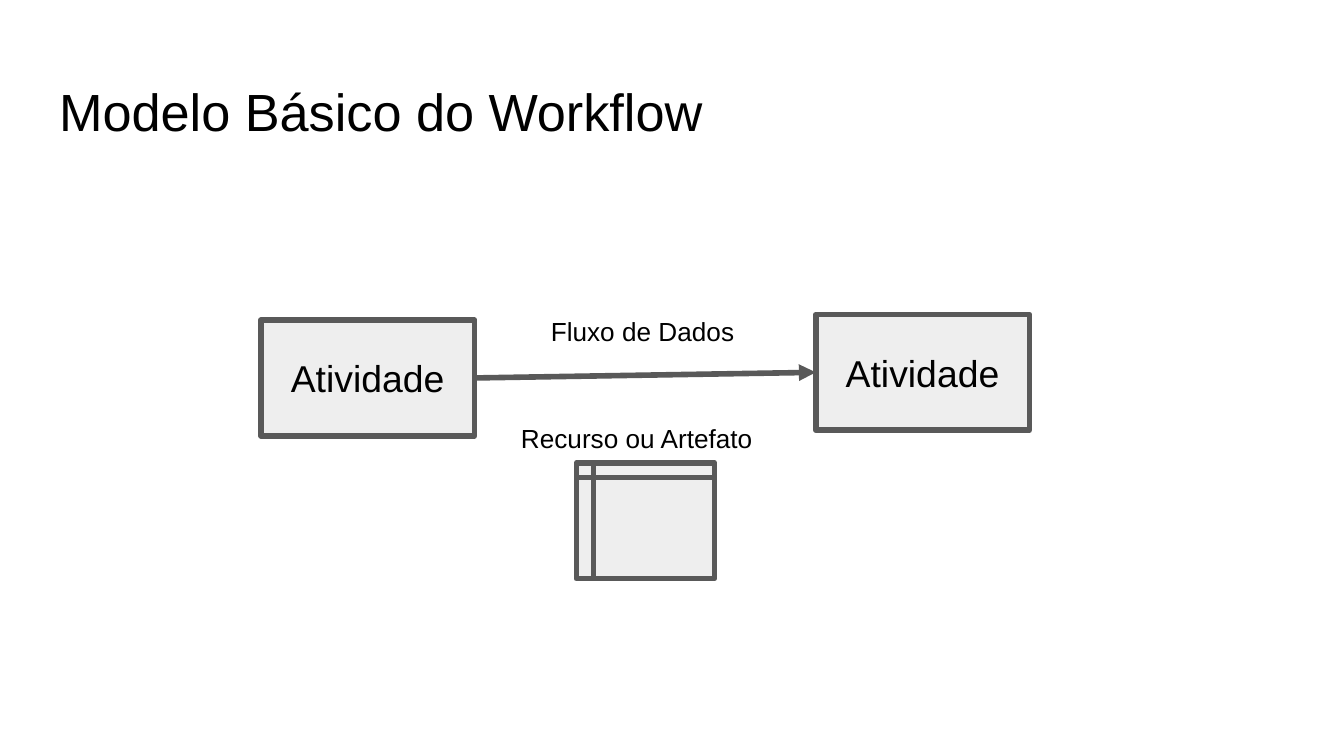
from dataclasses import dataclass

from lxml import etree
from pptx import Presentation
from pptx import util as u
from pptx.dml import color
from pptx.enum import shapes, text
from pptx.oxml import ns

INK, EDGE, FILL = "000000", "595959", "EEEEEE"
KIND = shapes.MSO_SHAPE
ALIGN = text.PP_ALIGN


@dataclass
class Box:
    x: float
    y: float
    w: float
    h: float
    words: str = ""
    kind: shapes.MSO_SHAPE = KIND.RECTANGLE


def rgb(code: str) -> color.RGBColor:
    return color.RGBColor.from_string(code)


def write(shape, words: str, size: float, align=ALIGN.LEFT,
          anchor=text.MSO_ANCHOR.TOP) -> None:
    frame = shape.text_frame
    frame.text = words
    frame.word_wrap = True
    frame.auto_size = text.MSO_AUTO_SIZE.NONE
    frame.vertical_anchor = anchor
    frame.margin_left = frame.margin_right = u.Pt(7.2)
    frame.margin_top = frame.margin_bottom = u.Pt(7.2)
    par = frame.paragraphs[0]
    par.alignment = align
    par.font.name, par.font.size = "Arial", u.Pt(size)
    par.font.color.rgb = rgb(INK)


def place(box: Box) -> tuple:
    return tuple(u.Pt(v) for v in (box.x, box.y, box.w, box.h))


def stroke(shape):
    """Set the shared outline and return its XML element."""
    shape.line.color.rgb = rgb(EDGE)
    shape.line.width = u.Pt(3)
    line = shape._element.spPr.get_or_add_ln()
    etree.SubElement(line, ns.qn("a:round"))
    return line


def draw(slide, box: Box):
    shape = slide.shapes.add_shape(box.kind, *place(box))
    shape.shadow.inherit = False
    shape.fill.solid()
    shape.fill.fore_color.rgb = rgb(FILL)
    stroke(shape)
    if box.words:
        write(shape, box.words, 20, ALIGN.CENTER, text.MSO_ANCHOR.MIDDLE)
    return shape


def join(slide, start, end) -> None:
    """Draw an arrow from the right side of start to the left of end."""
    arrow = slide.shapes.add_connector(shapes.MSO_CONNECTOR.STRAIGHT, 0, 0, 0, 0)
    arrow.begin_connect(start, 3)
    arrow.end_connect(end, 1)
    etree.SubElement(stroke(arrow), ns.qn("a:tailEnd"), type="triangle")
    etree.SubElement(arrow._element.spPr, ns.qn("a:effectLst"))


def main() -> None:
    deck = Presentation()
    deck.slide_width, deck.slide_height = u.Pt(720), u.Pt(405)
    slide = deck.slides.add_slide(deck.slide_layouts[5])

    # Title
    title = slide.shapes.title
    title.left, title.top, title.width, title.height = place(
        Box(24.5, 35, 671, 45))
    write(title, "Modelo Básico do Workflow", 28)

    # Activities and the flow between them
    first = draw(slide, Box(139.75, 171.5, 114.5, 62, "Atividade"))
    second = draw(slide, Box(437, 168.5, 114.5, 62, "Atividade"))
    join(slide, first, second)

    # Labels
    for label in (Box(288, 162, 114.5, 38, "Fluxo de Dados"),
                  Box(272, 219, 147, 38, "Recurso ou Artefato")):
        write(slide.shapes.add_textbox(*place(label)), label.words, 14)

    # Resource
    draw(slide, Box(308.75, 248, 74, 62, kind=KIND.FLOWCHART_INTERNAL_STORAGE))

    deck.save("out.pptx")


if __name__ == "__main__":
    main()
